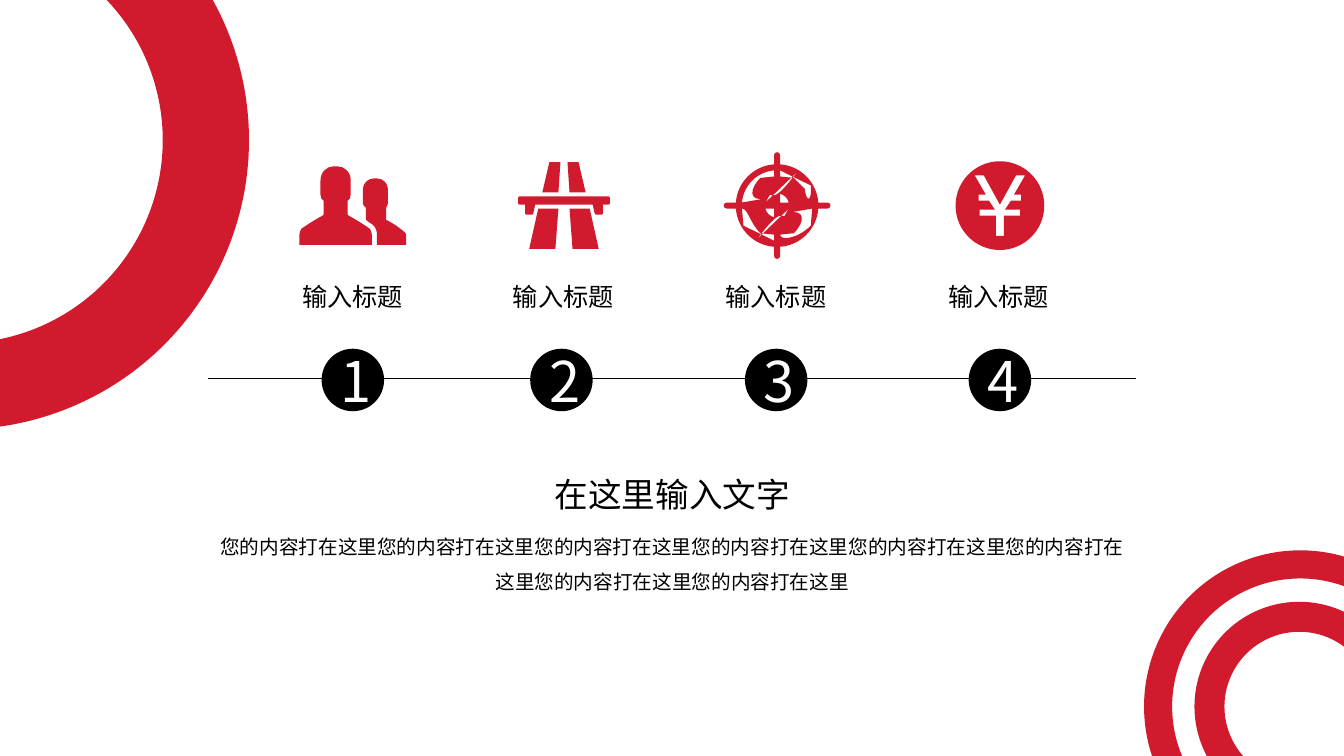
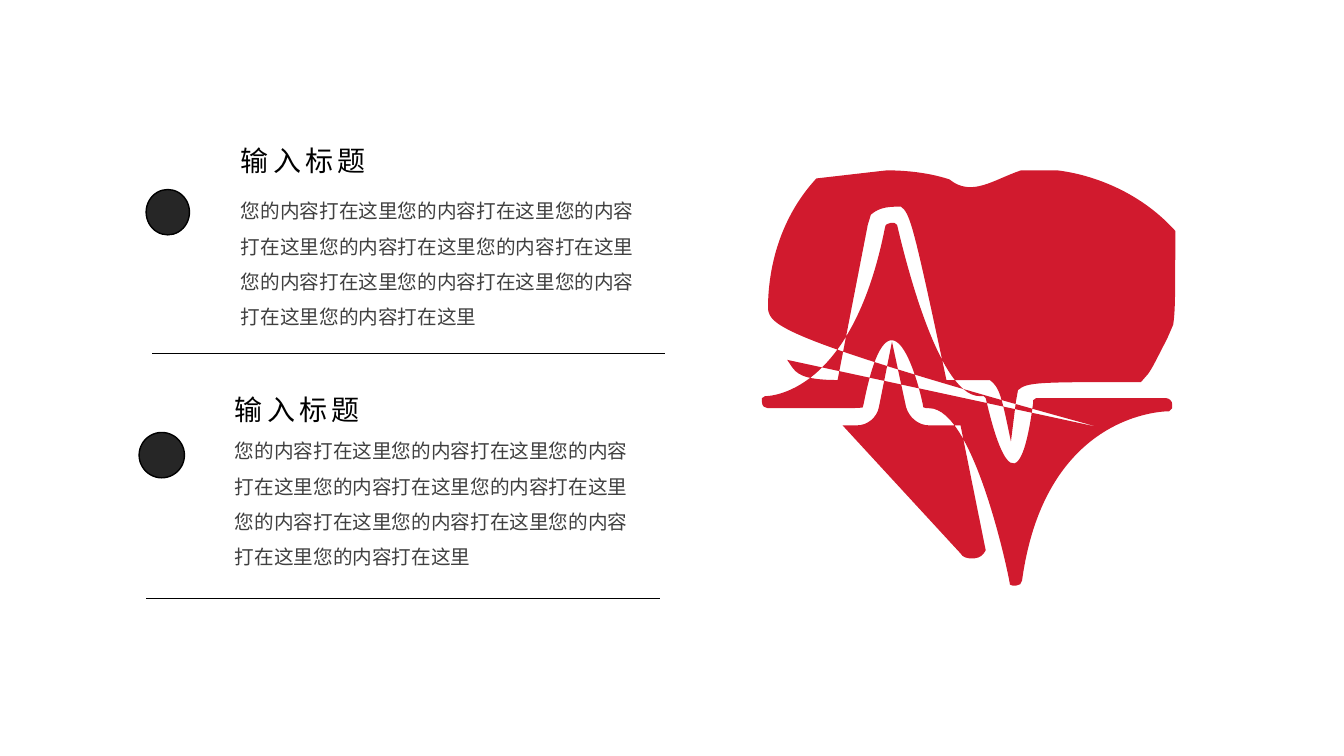
"""Build a four-step timeline slide and a two-topic heart slide."""
import math
from dataclasses import dataclass
from typing import NamedTuple

from lxml import etree
from pptx import Presentation
from pptx.dml.color import RGBColor
from pptx.enum.shapes import MSO_CONNECTOR, MSO_SHAPE
from pptx.enum.text import MSO_ANCHOR, MSO_AUTO_SIZE, PP_ALIGN
from pptx.oxml.ns import qn
from pptx.slide import Slide
from pptx.util import Inches, Pt

ELLIPSE, DONUT = MSO_SHAPE.OVAL, MSO_SHAPE.DONUT
STRAIGHT = MSO_CONNECTOR.STRAIGHT
TOP, MIDDLE = MSO_ANCHOR.TOP, MSO_ANCHOR.MIDDLE
LEFT, CENTER = PP_ALIGN.LEFT, PP_ALIGN.CENTER
FIXED, GROW = MSO_AUTO_SIZE.NONE, MSO_AUTO_SIZE.SHAPE_TO_FIT_TEXT

COLORS = {"red": "D11A2E", "black": "000000", "white": "FFFFFF",
          "charcoal": "262626", "gray": "404040"}
FONT = "Noto Sans CJK SC"
HEADING = "输入标题"
SENTENCE = "您的内容打在这里"


class Node(NamedTuple):
    x: float
    y: float
    curved: bool = False


Contour = list[Node]


@dataclass(frozen=True)
class TextStyle:
    size: float
    color: str = "black"
    font: str = FONT
    align: PP_ALIGN = LEFT
    anchor: MSO_ANCHOR = TOP
    auto_size: MSO_AUTO_SIZE = FIXED
    wrap: bool = True
    line_spacing: float = 1.0
    tracking: float = 0


@dataclass(frozen=True)
class Step:
    number: str
    circle_left: float
    label_left: float
    icon: list[Contour]


@dataclass(frozen=True)
class Topic:
    left: float
    heading_top: float
    body_top: float
    dot: tuple[float, float, float, float]
    rule: tuple[float, float, float]


@dataclass(frozen=True)
class Ring:
    left: float
    top: float
    size: float
    thickness: float


NUMBER = TextStyle(40, "white", align=CENTER, anchor=MIDDLE)
LABEL = TextStyle(18, auto_size=GROW, wrap=False)
TITLE = TextStyle(24, align=CENTER, anchor=MIDDLE)
SUMMARY = TextStyle(14, align=CENTER, line_spacing=1.5)
TOPIC_HEADING = TextStyle(20, font="Arial", auto_size=GROW, tracking=3)
TOPIC_BODY = TextStyle(14, "gray", auto_size=GROW, line_spacing=1.5)


def color(name: str) -> RGBColor:
    return RGBColor.from_string(COLORS[name])


def polar(center: Node, radius: float, degrees: float) -> Node:
    angle = math.radians(degrees)
    return Node(center.x + radius * math.cos(angle), center.y + radius * math.sin(angle))


def arc(center: Node, radius: float, start: float, end: float) -> Contour:
    count = math.ceil((end - start) / 90)
    sweep = (end - start) / count
    pull = 4 / 3 * math.tan(math.radians(sweep) / 4)
    reach, lean = radius * math.hypot(1, pull), math.degrees(math.atan(pull))
    nodes = [polar(center, radius, start)]
    for index in range(count):
        first = start + sweep * index
        last = first + sweep
        for distance, angle in ((reach, first + lean), (reach, last - lean), (radius, last)):
            nodes.append(polar(center, distance, angle)._replace(curved=True))
    return nodes


def outline(text: str) -> Contour:
    nodes: Contour = []
    controls_left = 0
    for token in text.split():
        if token == "C":
            controls_left = 3
            continue
        x, y = map(float, token.split(","))
        nodes.append(Node(x, y, controls_left > 0))
        controls_left = max(0, controls_left - 1)
    return nodes


def backward(nodes: Contour) -> Contour:
    flags = [False] + [node.curved for node in nodes[:0:-1]]
    return [node._replace(curved=flag) for node, flag in zip(reversed(nodes), flags)]


def mirror(nodes: Contour, axis: float) -> Contour:
    return [node._replace(x=2 * axis - node.x) for node in backward(nodes)]


def symmetric(text: str, axis: float) -> Contour:
    half = outline(text)
    return half + mirror(half, axis)


def people_icon() -> list[Contour]:
    front = symmetric(
        "3.33,1.65 3.35,1.65 C 3.42,1.65 3.48,1.71 3.48,1.79 3.48,1.93 "
        "C 3.48,1.96 3.47,1.98 3.45,1.99 3.45,2.13 C 3.45,2.13 3.45,2.14 3.46,2.14 "
        "C 3.48,2.15 3.57,2.2 3.67,2.27 C 3.68,2.29 3.69,2.31 3.69,2.33 3.69,2.43", 3.33)
    back = outline(
        "3.71,1.77 3.74,1.77 C 3.8,1.77 3.85,1.82 3.85,1.88 3.85,2.01 "
        "C 3.85,2.03 3.84,2.05 3.83,2.06 3.83,2.18 C 3.85,2.19 3.93,2.23 4.01,2.3 "
        "C 4.03,2.31 4.03,2.33 4.03,2.34 4.03,2.43 3.74,2.43 3.74,2.33 "
        "C 3.74,2.29 3.73,2.26 3.7,2.23 C 3.67,2.21 3.65,2.2 3.63,2.18 3.63,2.06 "
        "C 3.61,2.05 3.6,2.03 3.6,2.01 3.6,1.88 C 3.6,1.82 3.65,1.77 3.71,1.77")
    return [back, front]


def road_icon() -> list[Contour]:
    axis = 5.595
    lanes = [outline("5.65,2.07 5.85,2.07 5.94,2.47 5.68,2.47"),
             outline("5.63,1.61 5.74,1.61 5.81,1.91 5.65,1.91")]
    bridge = symmetric("6.04,1.95 6.05,1.96 6.05,2.02 6.04,2.03 5.98,2.03 5.98,2.12 "
                       "5.97,2.13 5.91,2.13 5.9,2.12 5.88,2.03", axis)
    return lanes + [mirror(lane, axis) for lane in lanes] + [bridge]


def target_icon() -> list[Contour]:
    center, gap = Node(7.71, 2.04), 0.03

    def quarter(radius: float, turn: int) -> Contour:
        trim = math.degrees(math.asin(gap / radius))
        return arc(center, radius, turn + trim, turn + 90 - trim)

    edge: Contour = []
    holes: list[Contour] = []
    for turn in range(0, 360, 90):
        edge += arc(polar(center, 0.5, turn), gap, turn - 90, turn + 90) + quarter(0.41, turn)
        holes.append(quarter(0.35, turn) + backward(quarter(0.29, turn)))
        holes.append(quarter(0.12, turn) + [polar(center, gap * math.sqrt(2), turn + 45)])
    return [edge, *holes]


def yen_icon() -> list[Contour]:
    sign = symmetric("9.92,2.03 10.08,1.74 10.17,1.74 10.06,1.93 10.13,1.93 10.13,1.99 "
                     "10.03,1.99 9.97,2.08 10.12,2.08 10.12,2.14 9.96,2.14 9.96,2.34", 9.92)
    return [arc(Node(9.92, 2.04), 0.44, 0, 360), sign]


def heart_icon() -> list[Contour]:
    upper = outline(
        "7.81,3.57 C 7.85,3.63 7.9,3.7 7.95,3.77 8.31,3.77 8.61,2.23 "
        "C 8.64,2.13 8.73,2.05 8.83,2.05 C 8.94,2.05 9.03,2.12 9.06,2.22 9.39,3.77 "
        "9.72,3.77 C 9.82,3.77 9.92,3.84 9.94,3.95 10.03,4.38 10.08,3.98 "
        "C 10.1,3.87 10.19,3.79 10.3,3.79 11.32,3.79 C 11.39,3.71 11.44,3.64 11.47,3.57 "
        "11.58,3.36 C 11.64,3.22 11.66,3.08 11.66,2.93 "
        "C 11.66,2.29 11.19,1.77 10.57,1.7 10.49,1.69 10.42,1.69 "
        "C 10.13,1.69 9.86,1.78 9.64,1.96 C 9.42,1.78 9.15,1.69 8.86,1.69 8.8,1.69 "
        "8.71,1.7 C 8.1,1.77 7.62,2.29 7.62,2.93 C 7.62,3.07 7.65,3.22 7.7,3.36")
    lower = outline(
        "9.53,4.22 9.78,5.46 9.76,5.49 C 9.73,5.53 9.69,5.54 9.64,5.54 "
        "C 9.6,5.54 9.55,5.53 9.53,5.49 8.36,4.22 8.5,4.22 "
        "C 8.61,4.22 8.7,4.14 8.72,4.04 8.85,3.39 8.99,4.04 C 9.02,4.14 9.11,4.22 9.22,4.22")
    corner = outline("10.44,4.75 10.91,4.24 10.5,4.24")
    pulse = outline(
        "11.57,3.95 10.31,3.95 C 10.28,3.95 10.25,3.97 10.25,4 10.07,5.36 9.79,3.98 "
        "C 9.78,3.95 9.76,3.93 9.72,3.93 9.27,3.93 8.91,2.26 C 8.9,2.23 8.87,2.21 8.84,2.21 "
        "C 8.81,2.21 8.78,2.23 8.78,2.26 8.45,3.93 7.62,3.93 "
        "C 7.59,3.93 7.56,3.95 7.56,3.99 C 7.56,4.03 7.59,4.05 7.62,4.05 8.5,4.05 "
        "C 8.54,4.05 8.56,4.04 8.57,4 8.85,2.59 9.16,4 C 9.16,4.04 9.19,4.05 9.22,4.05 "
        "9.67,4.05 10.02,5.76 C 10.02,5.8 10.05,5.81 10.08,5.81 "
        "C 10.11,5.81 10.14,5.79 10.14,5.76 10.37,4.08 11.57,4.08 "
        "C 11.6,4.08 11.63,4.05 11.63,4.01 C 11.63,3.98 11.6,3.95 11.57,3.95")
    return [lower, upper, corner, pulse]


def place(shape, left: float, top: float, width: float, height: float) -> None:
    box = {"left": left, "top": top, "width": width, "height": height}
    for name, value in box.items():
        setattr(shape, name, Inches(value))


def write(shape, text: str, style: TextStyle) -> None:
    frame = shape.text_frame
    paragraph = frame.paragraphs[0]
    span = paragraph.add_run()
    span.text = text
    formats = (
        (frame, {"word_wrap": style.wrap, "auto_size": style.auto_size,
                 "vertical_anchor": style.anchor}),
        (paragraph, {"alignment": style.align, "line_spacing": style.line_spacing,
                     "space_before": Pt(0)}),
        (span.font, {"size": Pt(style.size), "name": style.font, "bold": False}),
    )
    for target, values in formats:
        for name, value in values.items():
            setattr(target, name, value)
    span.font.color.rgb = color(style.color)
    run_format = span.font._element
    etree.SubElement(run_format, qn("a:ea")).set("typeface", FONT)
    if style.tracking:
        run_format.set("spc", str(round(style.tracking * 100)))
    if shape.is_placeholder:
        paragraph_format = paragraph._p.get_or_add_pPr()
        for name in ("marL", "indent"):
            paragraph_format.set(name, "0")
        etree.SubElement(paragraph_format, qn("a:buNone"))


def paint(shape, fill: str, line: str | None = None) -> None:
    shape.shadow.inherit = False
    shape.fill.solid()
    shape.fill.fore_color.rgb = color(fill)
    if line:
        shape.line.color.rgb = color(line)
        shape.line.width = Pt(1)
    else:
        shape.line.fill.background()


def add_preset(page: Slide, kind: MSO_SHAPE, box: tuple[float, float, float, float],
               fill: str, line: str | None = None):
    shape = page.shapes.add_shape(kind, *map(Inches, box))
    paint(shape, fill, line)
    return shape


def add_icon(page: Slide, contours: list[Contour]) -> None:
    scaled = [[(Inches(node.x), Inches(node.y)) for node in contour] for contour in contours]
    builder = page.shapes.build_freeform(*scaled[0][0])
    for index, points in enumerate(scaled):
        if index:
            builder.move_to(*points[0])
        closed = points[0] != points[-1]
        builder.add_line_segments(points[1:], close=closed)
    icon = builder.convert_to_shape()
    paint(icon, "red")
    flags: list[bool] = []
    for contour, points in zip(contours, scaled):
        flags += [node.curved for node in contour[1:]]
        flags += [False] * (points[0] != points[-1])
    segments = list(icon._element.iter(qn("a:lnTo")))
    curved = [segment for segment, flag in zip(segments, flags) if flag]
    for first, second, third in zip(*[iter(curved)] * 3):
        first.tag = qn("a:cubicBezTo")
        for segment in (second, third):
            first.append(segment[0])
            segment.getparent().remove(segment)


def add_rule(page: Slide, start: float, end: float, y: float) -> None:
    rule = page.shapes.add_connector(STRAIGHT, *map(Inches, (start, y, end, y)))
    rule.line.color.rgb = color("black")
    rule.line.width = Pt(0.5)
    etree.SubElement(rule._element.spPr, qn("a:effectLst"))


def build_timeline(page: Slide) -> None:
    title, summary = page.shapes.title, page.placeholders[1]
    place(title, 1.99, 4.35, 9.36, 1.11)
    write(title, "在这里输入文字", TITLE)
    place(summary, 1.99, 5.14, 9.36, 0.91)
    write(summary, SENTENCE * 8, SUMMARY)
    add_rule(page, 2.06, 11.27, 3.75)
    for step in (Step("1", 3.19, 2.9, people_icon()), Step("2", 5.26, 4.99, road_icon()),
                 Step("3", 7.39, 7.1, target_icon()), Step("4", 9.61, 9.31, yen_icon())):
        add_icon(page, step.icon)
        circle = add_preset(page, ELLIPSE, (step.circle_left, 3.46, 0.62, 0.62), "black")
        write(circle, step.number, NUMBER)
        label = page.shapes.add_textbox(*map(Inches, (step.label_left, 2.74, 1.21, 0.4)))
        write(label, HEADING, LABEL)
    for ring in (Ring(-3.27, -1.48, 5.74, 0.149), Ring(11.35, 5.46, 3.1, 0.09),
                 Ring(11.85, 5.97, 2.08, 0.143)):
        donut = add_preset(page, DONUT, (ring.left, ring.top, ring.size, ring.size), "red")
        donut.adjustments[0] = ring.thickness


def build_topics(page: Slide) -> None:
    unused = page.shapes.title._element
    unused.getparent().remove(unused)
    topics = (Topic(2.29, 1.37, 1.81, (1.45, 1.88, 0.43, 0.45), (1.51, 6.6, 3.51)),
              Topic(2.23, 3.84, 4.19, (1.38, 4.29, 0.45, 0.45), (1.45, 6.55, 5.94)))
    for index, topic in enumerate(topics):
        heading, body = (page.placeholders[2 * index + offset] for offset in (1, 2))
        place(heading, topic.left, topic.heading_top, 3.18, 0.44)
        write(heading, HEADING, TOPIC_HEADING)
        place(body, topic.left, topic.body_top, 4.11, 1.48)
        write(body, SENTENCE * 9, TOPIC_BODY)
        add_preset(page, ELLIPSE, topic.dot, "charcoal", "black")
        add_rule(page, *topic.rule)
    add_icon(page, heart_icon())


def main() -> None:
    deck = Presentation()
    deck.slide_width, deck.slide_height = Inches(40 / 3), Inches(7.5)
    for layout, build in ((1, build_timeline), (4, build_topics)):
        build(deck.slides.add_slide(deck.slide_layouts[layout]))
    deck.save("out.pptx")


if __name__ == "__main__":
    main()
